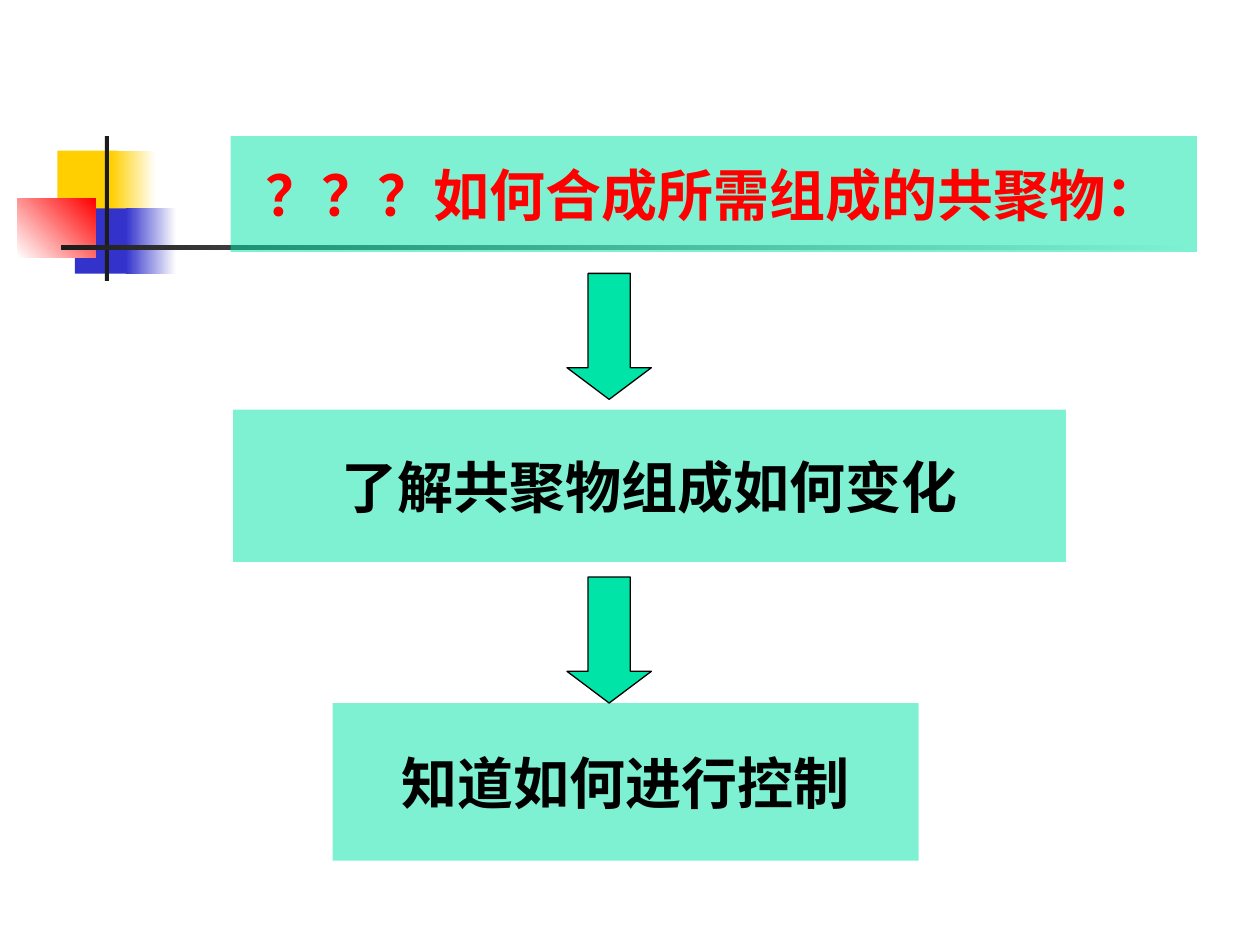
from lxml import etree
from pptx import Presentation
from pptx.dml.color import RGBColor
from pptx.enum.shapes import MSO_SHAPE
from pptx.enum.text import MSO_ANCHOR, MSO_AUTO_SIZE, PP_ALIGN
from pptx.oxml.ns import qn
from pptx.util import Inches, Pt

RECT, DOWN_ARROW = MSO_SHAPE.RECTANGLE, MSO_SHAPE.DOWN_ARROW
MIDDLE, CENTER, NO_FIT = MSO_ANCHOR.MIDDLE, PP_ALIGN.CENTER, MSO_AUTO_SIZE.NONE
TITLE_ONLY = 5
W, H = 10, 7.5
MINT, BLACK, RED, WHITE = "00E4A8", "000000", "FF0000", "FFFFFF"
YELLOW, BLUE, DARK = "FFCF01", "3333CC", "1C1C1C"
FONT_SC, FONT_JP = "Noto Sans CJK SC", "Noto Sans CJK JP"


def color(hex_code):
    return RGBColor.from_string(hex_code)


def add_box(slide, box, fill, kind=RECT):
    s = slide.shapes.add_shape(kind, *map(Inches, box))
    s.shadow.inherit = False
    s.line.fill.background()
    s.fill.solid()
    s.fill.fore_color.rgb = color(fill)
    return s


def add_gradient(slide, box, start, end, angle=0):
    s = add_box(slide, box, start)
    s.fill.gradient()
    s.fill.gradient_angle = angle
    for stop, hex_code in zip(s.fill.gradient_stops, (start, end)):
        stop.color.rgb = color(hex_code)


def add_ornament(slide, box):
    """Overlapping squares crossed by two bars; parts are shares of the box."""
    x, y, w, h = box

    def part(left, top, width, height):
        return x + left * w, y + top * h, width * w, height * h

    add_box(slide, part(0.25, 0.1, 0.38, 0.45), YELLOW)
    add_gradient(slide, part(0.59, 0.1, 0.28, 0.45), YELLOW, WHITE)
    add_box(slide, part(0.36, 0.5, 0.36, 0.45), BLUE)
    add_gradient(slide, part(0.68, 0.5, 0.32, 0.45), BLUE, WHITE)
    add_gradient(slide, part(0, 0.43, 0.49, 0.41), WHITE, RED, 45)
    add_box(slide, part(0.55, 0, 0.025, 1), DARK)
    add_gradient(slide, part(0.27, 0.755, 7.14, 0.03), DARK, WHITE)


def format_step(s, text, font, text_color=BLACK):
    """Translucent mint panel with one bold centred line."""
    s.fill.solid()
    s.fill.fore_color.rgb = color(MINT)
    srgb = s.fill._xPr.find(".//" + qn("a:srgbClr"))
    etree.SubElement(srgb, qn("a:alpha"), val="50000")

    tf = s.text_frame
    tf.text = text
    tf.auto_size, tf.word_wrap = NO_FIT, False
    tf.vertical_anchor = MIDDLE
    p = tf.paragraphs[0]
    p.alignment = CENTER
    r = p.runs[0]
    r.font.size, r.font.bold, r.font.name = Pt(32), True, font
    r.font.color.rgb = color(text_color)
    etree.SubElement(r.font._element, qn("a:ea"), typeface=font)


def add_title(slide, box, text):
    s = slide.shapes.title
    s.left, s.top, s.width, s.height = map(Inches, box)
    # Bring the title in front of the ornament's long bar
    slide.shapes._spTree.append(s._element)
    format_step(s, text, FONT_SC, RED)


def add_arrow(slide, box):
    s = add_box(slide, box, MINT, DOWN_ARROW)
    s.adjustments[0], s.adjustments[1] = 0.5, 0.375
    s.line.color.rgb = color(BLACK)
    s.line.width = Pt(0.75)


def main():
    prs = Presentation()
    prs.slide_width, prs.slide_height = Inches(W), Inches(H)
    slide = prs.slides.add_slide(prs.slide_layouts[TITLE_ONLY])

    # Ornament and title
    add_ornament(slide, (0.14, 1.08, 1.26, 1.15))
    add_title(slide, (1.83, 1.08, 7.67, 0.92), "？？？如何合成所需组成的共聚物：")

    # Steps
    steps = [
        ((1.85, 3.25, 6.61, 1.21), "了解共聚物组成如何变化", FONT_JP),
        ((2.64, 5.58, 4.65, 1.25), "知道如何进行控制", FONT_SC),
    ]
    for box, text, font in steps:
        format_step(add_box(slide, box, MINT), text, font)

    # Arrows between the steps
    for top in (2.17, 4.58):
        add_arrow(slide, (4.5, top, 0.67, 1))

    prs.save("out.pptx")


if __name__ == "__main__":
    main()
